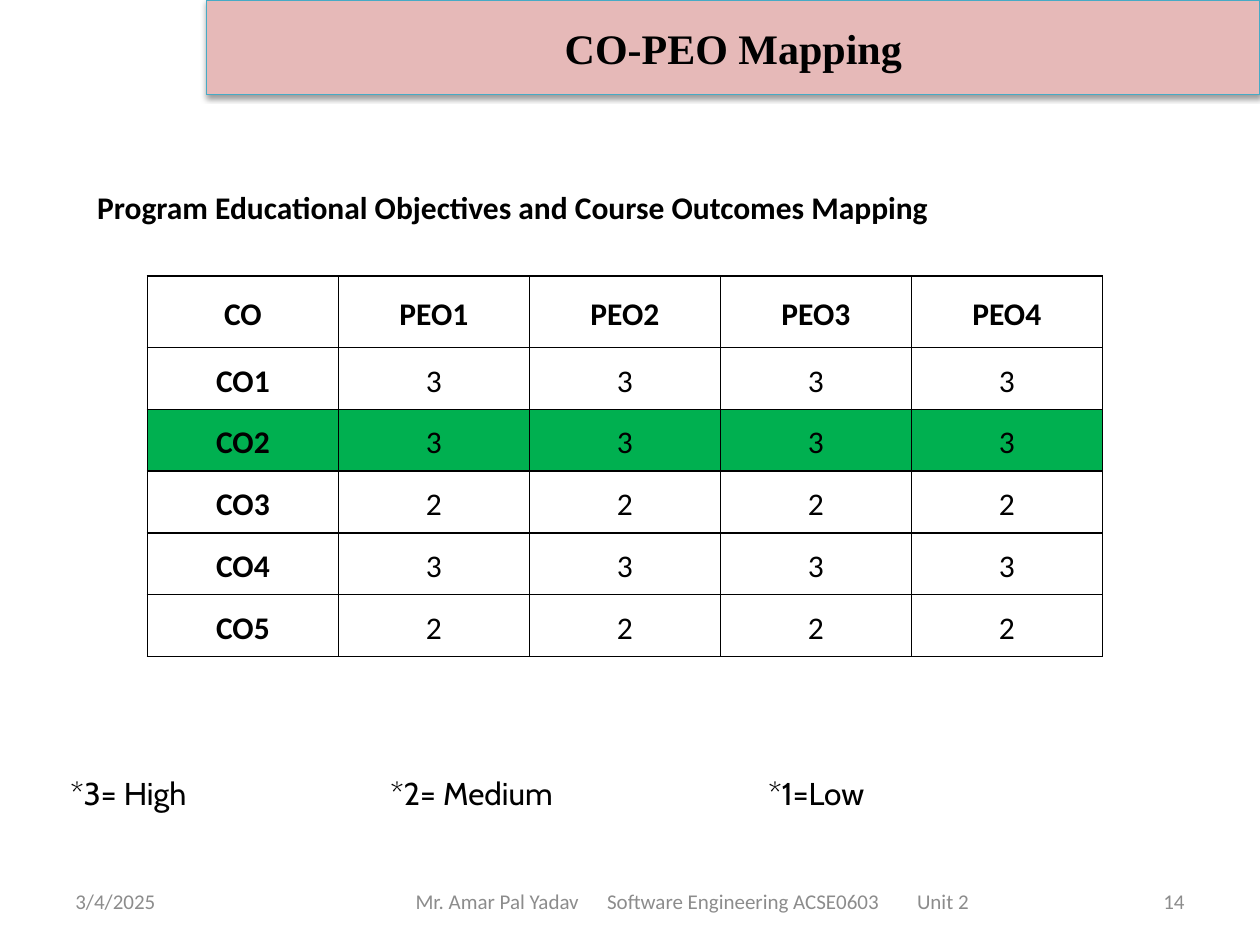
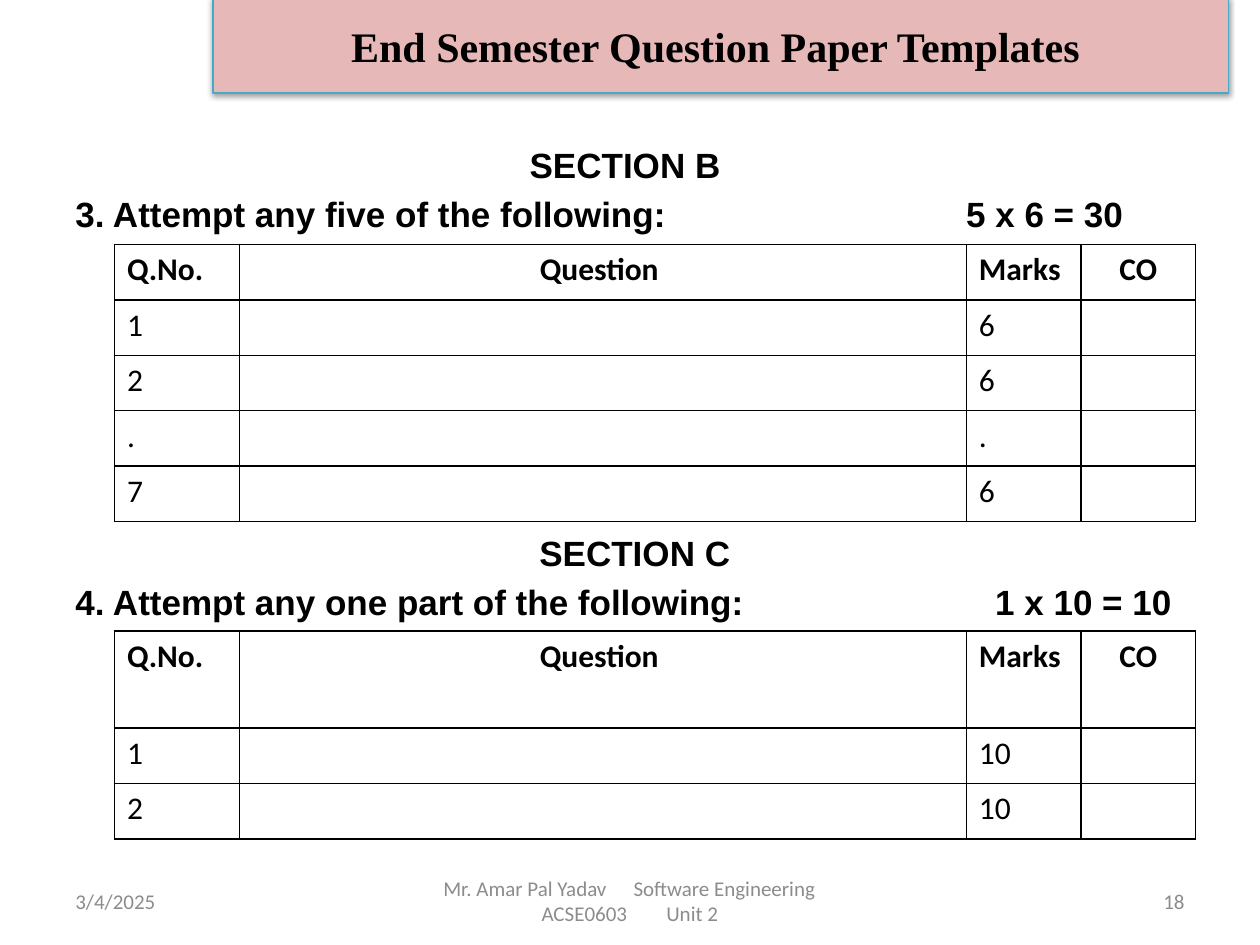
"""Build two course slides: an outcome mapping and a question paper template."""
import dataclasses

import lxml.etree
import pptx
import pptx.dml.color
import pptx.enum.shapes
import pptx.enum.text
import pptx.oxml.ns
import pptx.util

Inches, Pt = pptx.util.Inches, pptx.util.Pt
ALIGN = pptx.enum.text.PP_ALIGN
ANCHOR = pptx.enum.text.MSO_ANCHOR


@dataclasses.dataclass(frozen=True)
class Theme:
    ink: str = "000000"
    paper: str = "FFFFFF"
    muted: str = "8C8C8C"
    band: str = "E6B9B8"
    band_edge: str = "46AAC5"
    highlight: str = "00B050"
    title: tuple = ("Times New Roman", 24, True)
    section: tuple = ("Arial", 20, True)
    strong: tuple = ("Calibri", 18, True)
    body: tuple = ("Calibri", 18, False)
    legend: tuple = ("Cabin", 18, False)
    footer: tuple = ("Calibri", 12, False)


THEME = Theme()
DATE = "3/4/2025"

OBJECTIVES = ["CO", "PEO1", "PEO2", "PEO3", "PEO4"]
STRENGTHS = {"CO1": 3, "CO2": 3, "CO3": 2, "CO4": 3, "CO5": 2}
CURRENT_OUTCOME = "CO2"
SCALE = [(0.46, "*3= High"), (3.0, "*2= Medium"), (6.0, "*1=Low")]

MAPPING = {
    "title": "CO-PEO Mapping",
    "band": (1.64, 0, 8.36, 0.75),
    "number": "14",
    "footer_box": (2.75, 6.95, 5.5, 0.4),
    "footer": [
        [(0.45, "Mr. Amar Pal Yadav"), (1.97, "Software Engineering ACSE0603"), (4.43, "Unit 2")],
    ],
}
TEMPLATES = {
    "title": "End Semester Question Paper Templates ",
    "band": (1.69, -0.02, 8.06, 0.76),
    "number": "18",
    "footer_box": (3.42, 6.95, 3.17, 0.4),
    "footer": [
        [(0, "Mr. Amar Pal Yadav"), (1.51, "Software Engineering")],
        [(0.78, "ACSE0603"), (1.77, "Unit 2")],
    ],
}

QUESTION_COLUMNS = ["Q.No.", "Question ", "Marks", "CO"]
QUESTION_WIDTHS = [0.99, 5.77, 0.91, 0.91]
QUESTION_ALIGNS = [ALIGN.LEFT, ALIGN.CENTER, ALIGN.LEFT, ALIGN.CENTER]
QUESTION_HEIGHT = 0.44
SECTIONS = [
    {
        "heading": "SECTION B ",
        "task": [(0, "3. Attempt any five of the following:"), (7.07, "5 x 6 = 30")],
        "marks": [("1", "6"), ("2", "6"), (".", "."), ("7", "6")],
        "heading_top": 1.09,
        "table_top": 1.94,
        "header_height": 0.44,
    },
    {
        "heading": " SECTION C",
        "task": [(0, "4. Attempt any one part of the following:"), (7.3, "1 x 10 = 10")],
        "marks": [("1", "10"), ("2", "10")],
        "heading_top": 4.17,
        "table_top": 5.01,
        "header_height": 0.77,
    },
]


def rgb(value):
    return pptx.dml.color.RGBColor.from_string(value)


def child(parent, tag, **attributes):
    return lxml.etree.SubElement(parent, pptx.oxml.ns.qn(tag), attributes)


def solid(fill, color):
    fill.solid()
    fill.fore_color.rgb = rgb(color)


def write(paragraph, text, style, color=THEME.ink, align=ALIGN.LEFT):
    paragraph.alignment = align
    run = paragraph.add_run()
    run.text = text
    run.font.name, size, run.font.bold = style
    run.font.size = Pt(size)
    run.font.color.rgb = rgb(color)


def write_columns(paragraph, parts, style, color=THEME.ink):
    stops = child(paragraph._p.get_or_add_pPr(), "a:tabLst")
    for stop, _ in parts:
        if stop:
            child(stops, "a:tab", pos=str(Inches(stop)), algn="l")
    for stop, text in parts:
        write(paragraph, "\t" + text if stop else text, style, color)


def add_text_frame(slide, box, anchor=ANCHOR.MIDDLE):
    frame = slide.shapes.add_textbox(*map(Inches, box)).text_frame
    frame.word_wrap = True
    frame.vertical_anchor = anchor
    return frame


def add_title_band(slide, title, box):
    band = slide.shapes.add_shape(pptx.enum.shapes.MSO_SHAPE.RECTANGLE, *map(Inches, box))
    solid(band.fill, THEME.band)
    band.line.color.rgb = rgb(THEME.band_edge)
    band.line.width = Pt(0.75)
    band.shadow.inherit = False
    effects = band._element.spPr.find(pptx.oxml.ns.qn("a:effectLst"))
    shadow = child(effects, "a:outerShdw", blurRad=str(Pt(3.1)), dist=str(Pt(1.6)),
                   dir="5400000", rotWithShape="0")
    child(child(shadow, "a:srgbClr", val=THEME.ink), "a:alpha", val="38000")
    band.text_frame.vertical_anchor = ANCHOR.MIDDLE
    write(band.text_frame.paragraphs[0], title, THEME.title, align=ALIGN.CENTER)


def add_footer(slide, page):
    for left, text, align in ((0.5, DATE, ALIGN.LEFT), (7.17, page["number"], ALIGN.RIGHT)):
        frame = add_text_frame(slide, (left, 6.95, 2.33, 0.4))
        write(frame.paragraphs[0], text, THEME.footer, THEME.muted, align)
    frame = add_text_frame(slide, page["footer_box"])
    for index, line in enumerate(page["footer"]):
        paragraph = frame.add_paragraph() if index else frame.paragraphs[0]
        write_columns(paragraph, line, THEME.footer, THEME.muted)


def add_page(deck, page):
    slide = deck.slides.add_slide(deck.slide_layouts[6])
    add_title_band(slide, page["title"], page["band"])
    add_footer(slide, page)
    return slide


def add_borders(cell):
    properties = cell._tc.get_or_add_tcPr()
    for side in ("a:lnL", "a:lnR", "a:lnT", "a:lnB"):
        border = child(properties, side, w=str(Pt(1)))
        child(child(border, "a:solidFill"), "a:srgbClr", val=THEME.ink)


def add_grid(slide, left, top, rows, widths, heights):
    frame = slide.shapes.add_table(len(rows), len(widths), Inches(left), Inches(top),
                                   Inches(sum(widths)), Inches(sum(heights)))
    grid = frame.table
    grid.first_row = grid.horz_banding = False
    for column, width in zip(grid.columns, widths):
        column.width = Inches(width)
    for row, height in zip(grid.rows, heights):
        row.height = Inches(height)
    for cell in grid.iter_cells():
        add_borders(cell)
        solid(cell.fill, THEME.paper)
    return grid


def build_mapping(deck):
    slide = add_page(deck, MAPPING)
    write_columns(add_text_frame(slide, (0, 6.09, 9.77, 0.4)).paragraphs[0], SCALE, THEME.legend)
    subtitle = add_text_frame(slide, (0.47, 1.44, 8.52, 0.35))
    subtitle.margin_left, subtitle.margin_bottom = Inches(0.3), 0
    write(subtitle.paragraphs[0], "Program Educational Objectives and Course Outcomes Mapping",
          THEME.strong)

    count = len(OBJECTIVES)
    rows = [OBJECTIVES] + [[outcome] + [str(strength)] * (count - 1)
                           for outcome, strength in STRENGTHS.items()]
    grid = add_grid(slide, 1.17, 2.19, rows, [7.58 / count] * count,
                    [0.57] + [0.49] * len(STRENGTHS))
    for r, row in enumerate(rows):
        for c, text in enumerate(row):
            cell = grid.cell(r, c)
            cell.vertical_anchor = ANCHOR.MIDDLE
            cell.margin_left = cell.margin_right = Inches(0.07)
            cell.margin_top = cell.margin_bottom = 0
            if row[0] == CURRENT_OUTCOME:
                solid(cell.fill, THEME.highlight)
            paragraph = cell.text_frame.paragraphs[0]
            paragraph.line_spacing = 1.15
            style = THEME.body if r and c else THEME.strong
            write(paragraph, text, style, align=ALIGN.CENTER)


def build_templates(deck):
    slide = add_page(deck, TEMPLATES)
    for section in SECTIONS:
        frame = add_text_frame(slide, (0.5, section["heading_top"], 9, 0.82), ANCHOR.TOP)
        write(frame.paragraphs[0], section["heading"], THEME.section, align=ALIGN.CENTER)
        task = frame.add_paragraph()
        write_columns(task, section["task"], THEME.section)
        task.space_before = Pt(4)

        rows = [QUESTION_COLUMNS] + [[number, "", marks, ""] for number, marks in section["marks"]]
        heights = [section["header_height"]] + [QUESTION_HEIGHT] * len(section["marks"])
        grid = add_grid(slide, 0.91, section["table_top"], rows, QUESTION_WIDTHS, heights)
        for r, row in enumerate(rows):
            for c, text in enumerate(row):
                if text:
                    write(grid.cell(r, c).text_frame.paragraphs[0], text,
                          THEME.body if r else THEME.strong, align=QUESTION_ALIGNS[c])


def main():
    deck = pptx.Presentation()
    deck.slide_width, deck.slide_height = Inches(10), Inches(7.5)
    build_mapping(deck)
    build_templates(deck)
    deck.save("out.pptx")


if __name__ == "__main__":
    main()
